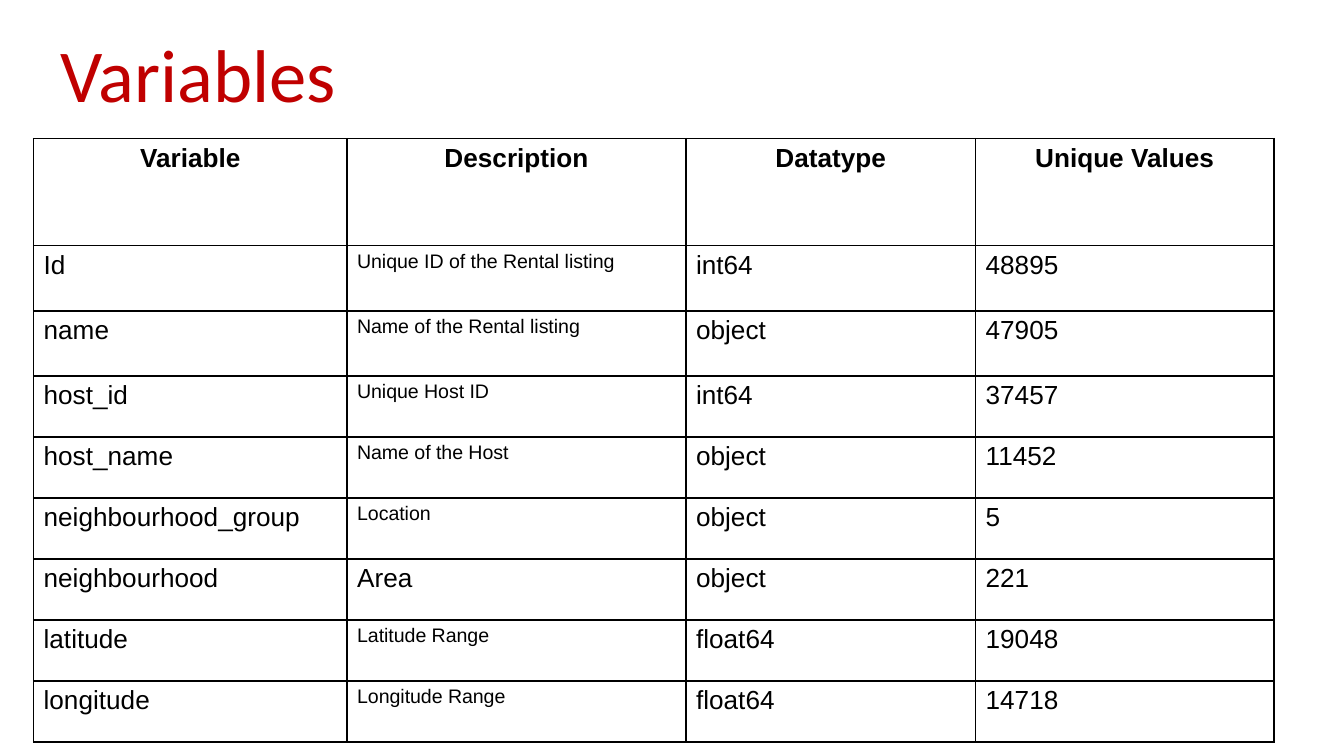
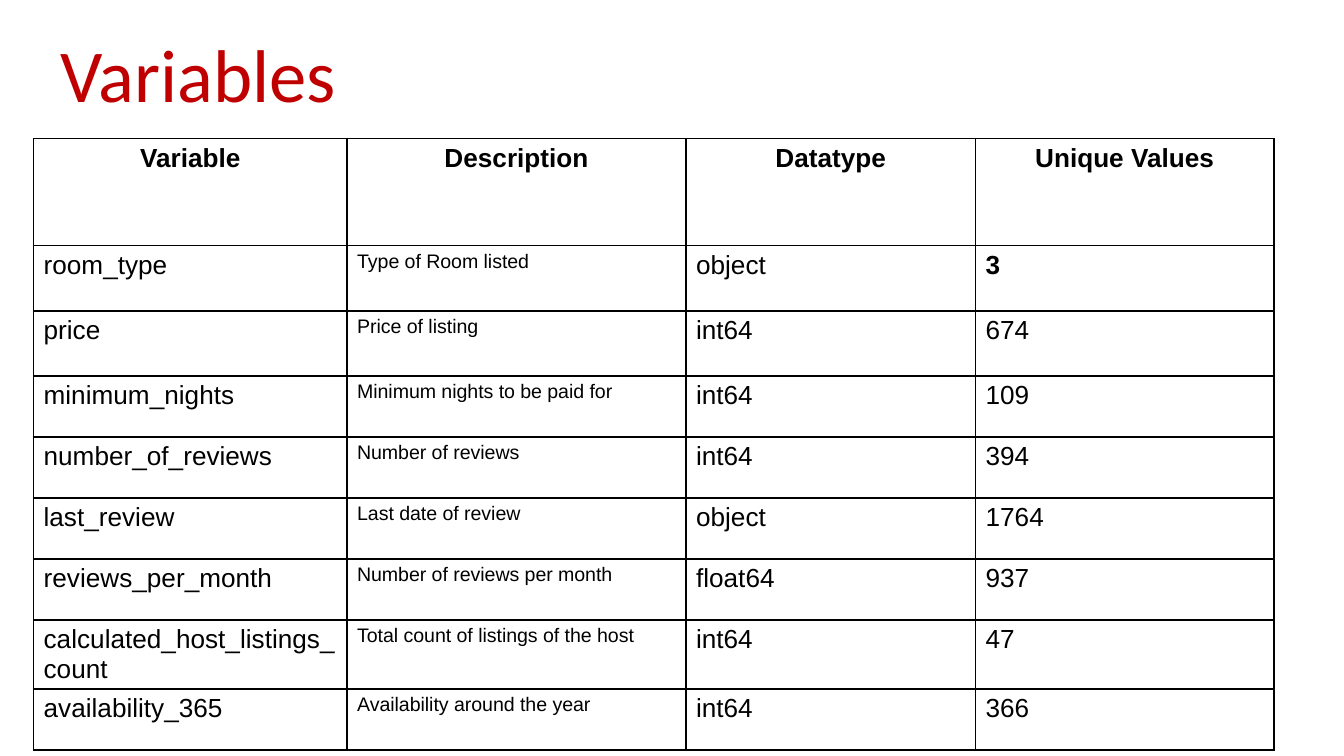
from dataclasses import dataclass

from lxml.etree import SubElement
from pptx import Presentation
from pptx.dml.color import RGBColor
from pptx.enum.text import MSO_ANCHOR, MSO_AUTO_SIZE, PP_ALIGN
from pptx.oxml.ns import qn
from pptx.presentation import Presentation as Deck
from pptx.slide import Slide
from pptx.table import _Cell as Cell
from pptx.text.text import TextFrame
from pptx.util import Inches, Pt

BLACK = RGBColor(0x00, 0x00, 0x00)
RED = RGBColor(0xC0, 0x00, 0x00)
WHITE = RGBColor(0xFF, 0xFF, 0xFF)

SLIDE_W = Inches(10)
SLIDE_H = SLIDE_W * 9 // 16
TITLE_ONLY = 5
HEADINGS = ("Variable", "Description", "Datatype", "Unique Values")

# Shares of the slide's size, in percent
TITLE_W, TITLE_H = 40.6, 19.3
TABLE_X, TABLE_Y = 2.5, 18.33
COL_SHARES = (23.33, 25.22, 21.55, 22.2)
ROW_SHARES = (14.16, *[8.62] * 2, *[8.07] * 6)


@dataclass(frozen=True)
class Variable:
    name: str
    description: str
    datatype: str
    unique: int
    description_size: float = 10.5
    bold_unique: bool = False


LISTING_VARIABLES = (
    Variable("Id", "Unique ID of the Rental listing", "int64", 48895),
    Variable("name", "Name of the Rental listing", "object", 47905),
    Variable("host_id", "Unique Host ID", "int64", 37457),
    Variable("host_name", "Name of the Host", "object", 11452),
    Variable("neighbourhood_group", "Location", "object", 5),
    Variable("neighbourhood", "Area", "object", 221, description_size=14),
    Variable("latitude", "Latitude Range", "float64", 19048),
    Variable("longitude", "Longitude Range", "float64", 14718),
)
BOOKING_VARIABLES = (
    Variable("room_type", "Type of Room listed", "object", 3, bold_unique=True),
    Variable("price", "Price of listing", "int64", 674),
    Variable("minimum_nights", "Minimum nights to be paid for", "int64", 109),
    Variable("number_of_reviews", "Number of reviews", "int64", 394),
    Variable("last_review", "Last date of review", "object", 1764),
    Variable("reviews_per_month", "Number of reviews per month", "float64", 937),
    Variable("calculated_host_listings_count",
             "Total count of listings of the host", "int64", 47),
    Variable("availability_365", "Availability around the year", "int64", 366),
)


def across(share: float) -> int:
    return round(SLIDE_W * share / 100)


def down(share: float) -> int:
    return round(SLIDE_H * share / 100)


def write(tf: TextFrame, text: str, *, size: float = 14, font: str = "Arial",
          color: RGBColor = BLACK, bold: bool = False,
          align: PP_ALIGN = PP_ALIGN.LEFT) -> None:
    p = tf.paragraphs[0]
    p.alignment = align
    r = p.add_run()
    r.text = text
    r.font.size, r.font.name, r.font.bold = Pt(size), font, bold
    r.font.color.rgb = color


def style_cell(cell: Cell) -> None:
    """Give a cell its insets, black borders and no fill."""
    cell.margin_left = cell.margin_right = Pt(5.4)
    cell.margin_top = cell.margin_bottom = Pt(2.7)
    tc_pr = cell._tc.get_or_add_tcPr()
    for side in ("lnL", "lnR", "lnT", "lnB"):
        line = SubElement(tc_pr, qn(f"a:{side}"), w=str(Pt(1)))
        fill = SubElement(line, qn("a:solidFill"))
        SubElement(fill, qn("a:srgbClr"), val=str(BLACK))
    cell.fill.background()


def add_title(s: Slide, text: str) -> None:
    sp = s.shapes.title
    sp.left, sp.top = 0, 0
    sp.width, sp.height = across(TITLE_W), down(TITLE_H)
    tf = sp.text_frame
    tf.auto_size = MSO_AUTO_SIZE.NONE
    tf.vertical_anchor = MSO_ANCHOR.MIDDLE
    tf.margin_left, tf.margin_right = Inches(0.45), Inches(0.07)
    tf.margin_top = tf.margin_bottom = Inches(0.04)
    write(tf, text, size=40, font="Calibri", color=RED)


def add_variable_table(s: Slide, variables: tuple[Variable, ...]) -> None:
    table = s.shapes.add_table(
        len(variables) + 1, len(HEADINGS), across(TABLE_X), down(TABLE_Y),
        across(sum(COL_SHARES)), down(sum(ROW_SHARES))).table
    table.first_row = table.horz_banding = False
    for column, share in zip(table.columns, COL_SHARES):
        column.width = across(share)
    for row, share in zip(table.rows, ROW_SHARES):
        row.height = down(share)
    for cell in table.iter_cells():
        style_cell(cell)

    for col, heading in enumerate(HEADINGS):
        write(table.cell(0, col).text_frame, heading, bold=True,
              align=PP_ALIGN.CENTER)
    for row, v in enumerate(variables, start=1):
        name, description, datatype, unique = (
            cell.text_frame for cell in table.rows[row].cells)
        write(name, v.name)
        write(description, v.description, size=v.description_size)
        write(datatype, v.datatype)
        write(unique, str(v.unique), bold=v.bold_unique)


def add_variables_slide(prs: Deck, variables: tuple[Variable, ...]) -> None:
    s = prs.slides.add_slide(prs.slide_layouts[TITLE_ONLY])
    s.background.fill.solid()
    s.background.fill.fore_color.rgb = WHITE
    add_title(s, "Variables")
    add_variable_table(s, variables)


def main() -> None:
    prs = Presentation()
    prs.slide_width, prs.slide_height = SLIDE_W, SLIDE_H
    for variables in (LISTING_VARIABLES, BOOKING_VARIABLES):
        add_variables_slide(prs, variables)
    prs.save("out.pptx")


if __name__ == "__main__":
    main()
